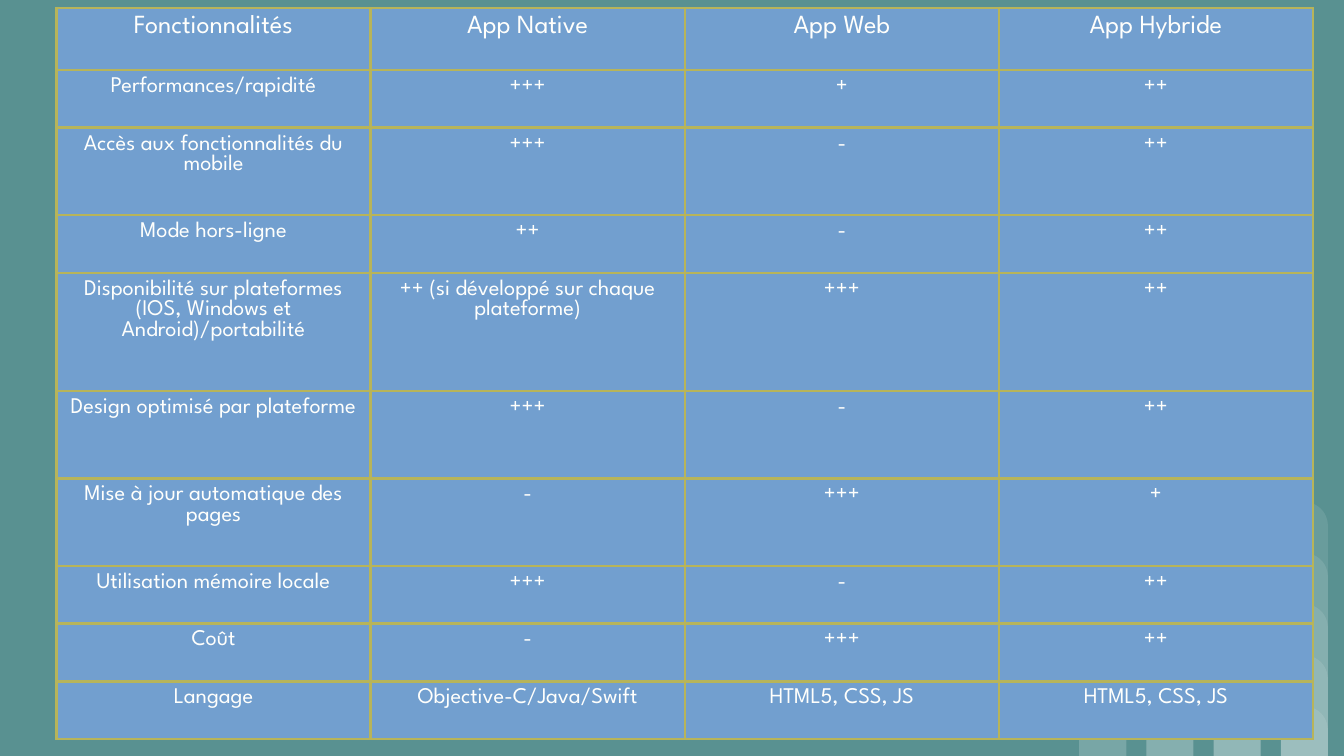
from dataclasses import dataclass

from lxml import etree
from pptx import Presentation
from pptx.dml.color import RGBColor
from pptx.enum import shapes, text
from pptx.oxml import ns
from pptx.util import Inches, Pt


@dataclass(frozen=True)
class Theme:
    background: str = "599191"
    cell: str = "729FCF"
    border: str = "B7B45A"
    ink: str = "FFFFFC"
    bar: str = "FFFFFF"
    bar_alpha: int = 10
    font: str = "League Spartan"
    header_size: int = 14
    body_size: int = 12
    border_width: float = 1.47


theme = Theme()


def set_fill(fill, color):
    fill.solid()
    fill.fore_color.rgb = RGBColor.from_string(color)


def add_borders(cell):
    tc_pr = cell._tc.get_or_add_tcPr()
    for side in ("lnL", "lnR", "lnT", "lnB"):
        ln = etree.SubElement(tc_pr, ns.qn(f"a:{side}"), w=str(Pt(theme.border_width)))
        solid = etree.SubElement(ln, ns.qn("a:solidFill"))
        etree.SubElement(solid, ns.qn("a:srgbClr"), val=theme.border)


prs = Presentation()
prs.slide_width, prs.slide_height = Inches(10), Inches(10 * 9 / 16)
s = prs.slides.add_slide(prs.slide_layouts[6])
set_fill(s.background.fill, theme.background)

for column in range(4):
    for step in range(column + 2):
        height = Inches(0.37 + 0.38 * step)
        sp = s.shapes.add_shape(
            shapes.MSO_SHAPE.ROUND_2_SAME_RECTANGLE,
            Inches(8.03 + 0.5 * column), prs.slide_height - height,
            Inches(0.35), height,
        )
        sp.adjustments[0], sp.adjustments[1] = 0.5, 0
        sp.shadow.inherit = False
        sp.line.fill.background()
        set_fill(sp.fill, theme.bar)
        color = sp._element.spPr.find(".//" + ns.qn("a:srgbClr"))
        etree.SubElement(color, ns.qn("a:alpha"), val=str(theme.bar_alpha * 1000))

rows = [
    (0.46, "Fonctionnalités", "App Native", "App Web", "App Hybride"),
    (0.43, "Performances/rapidité", "+++", "+", "++"),
    (0.65, "Accès aux fonctionnalités du mobile", "+++", "-", "++"),
    (0.43, "Mode hors-ligne", "++", "-", "++"),
    (0.88, "Disponibilité sur plateformes (IOS, Windows et Android)/portabilité",
     "++ (si développé sur chaque plateforme)", "+++", "++"),
    (0.65, "Design optimisé par plateforme", "+++", "-", "++"),
    (0.65, "Mise à jour automatique des pages", "-", "+++", "+"),
    (0.43, "Utilisation mémoire locale", "+++", "-", "++"),
    (0.43, "Coût", "-", "+++", "++"),
    (0.43, "Langage", "Objective-C/Java/Swift", "HTML5, CSS, JS", "HTML5, CSS, JS"),
]

table = s.shapes.add_table(
    len(rows), 4, Inches(0.42), Inches(0.06),
    Inches(9.35), Inches(sum(row[0] for row in rows)),
).table
table.first_row = table.horz_banding = False

for i, (height, *labels) in enumerate(rows):
    table.rows[i].height = Inches(height)
    for j, label in enumerate(labels):
        cell = table.cell(i, j)
        add_borders(cell)
        set_fill(cell.fill, theme.cell)
        cell.text = label
        p = cell.text_frame.paragraphs[0]
        p.alignment = text.PP_ALIGN.CENTER
        p.font.name = theme.font
        p.font.size = Pt(theme.body_size if i else theme.header_size)
        p.font.color.rgb = RGBColor.from_string(theme.ink)

prs.save("out.pptx")
